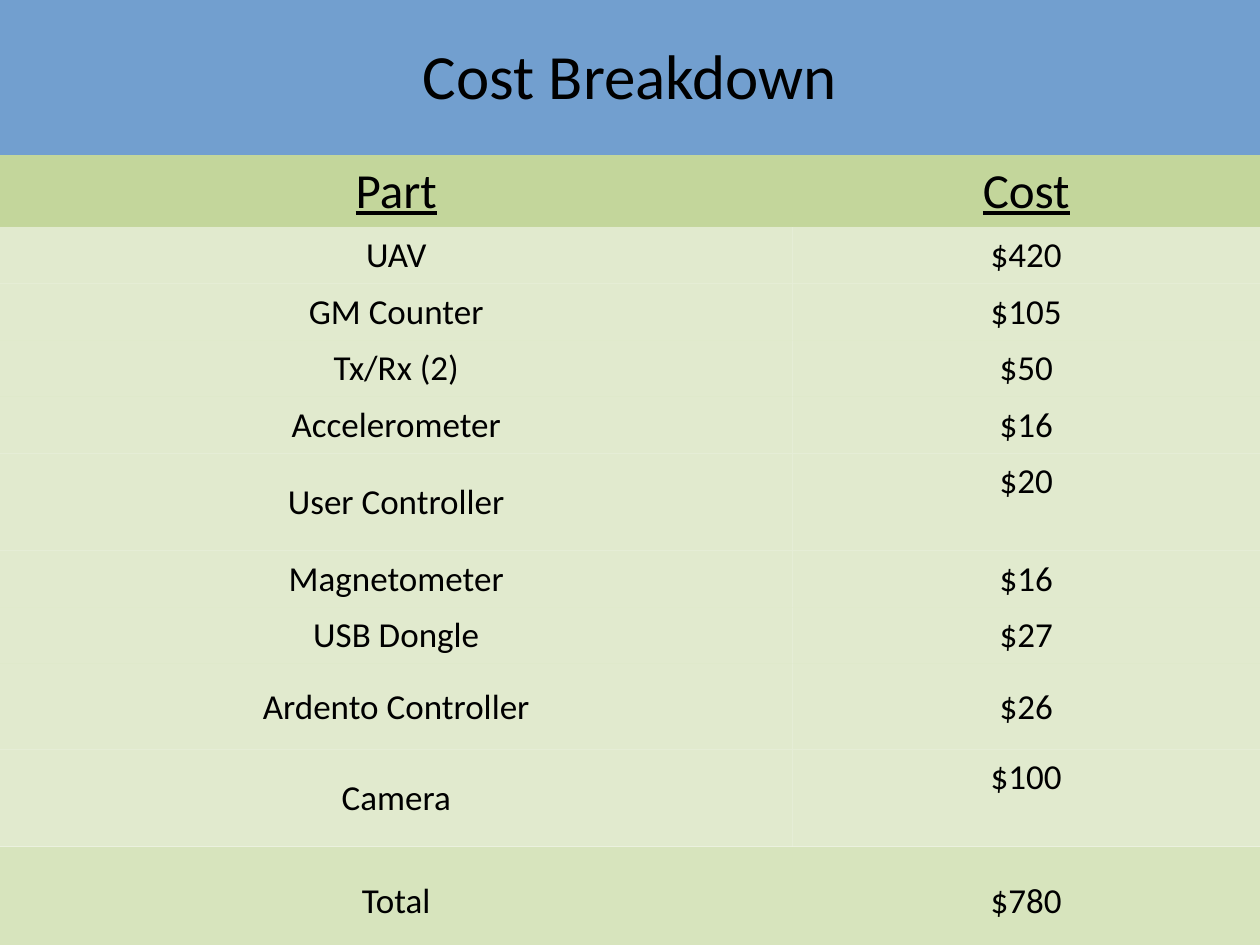
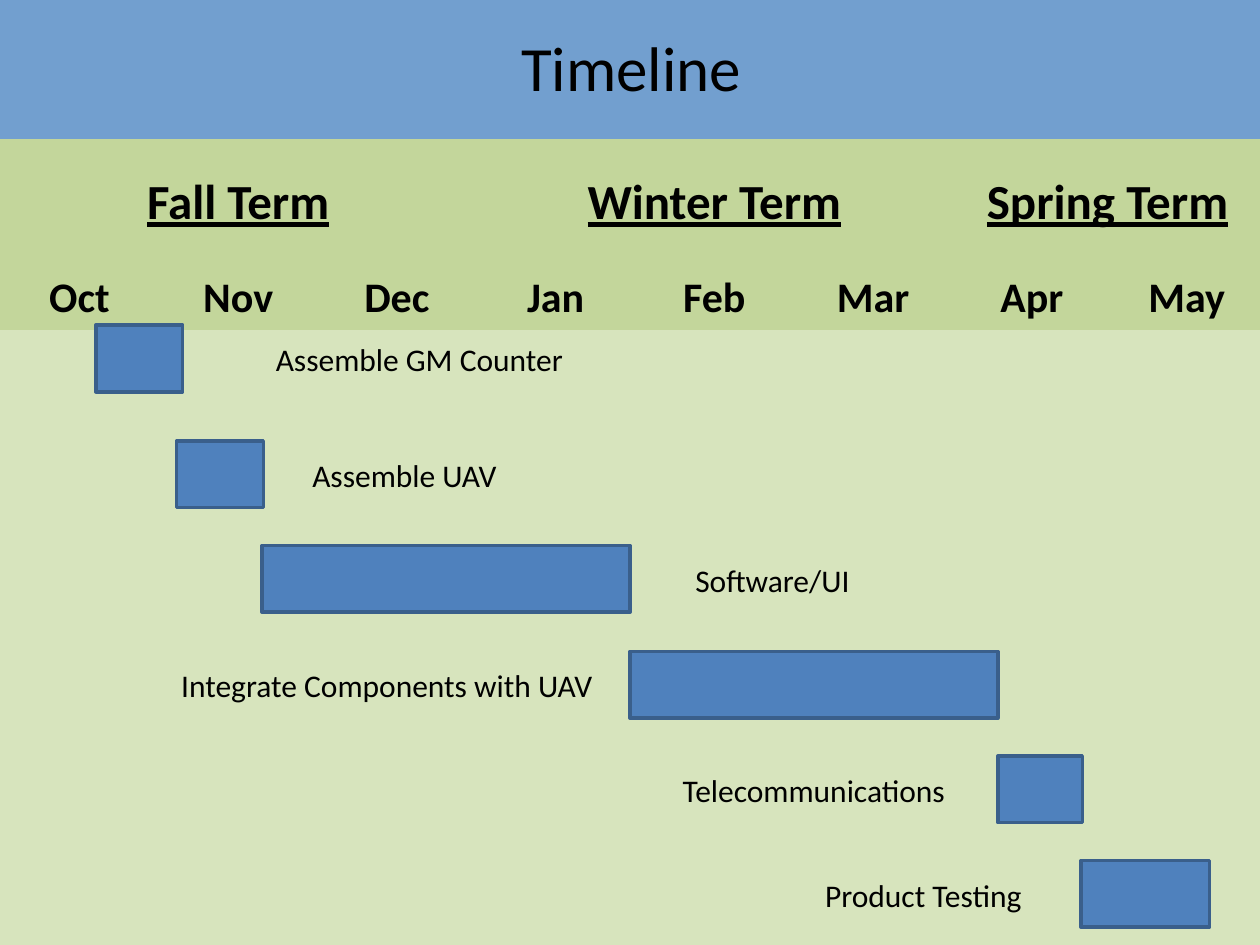
from lxml.etree import SubElement
from pptx import Presentation
from pptx.dml.color import RGBColor as Rgb
from pptx.enum.shapes import MSO_SHAPE as Shape
from pptx.enum.text import MSO_ANCHOR as Anchor, PP_ALIGN as Align
from pptx.oxml.ns import qn
from pptx.util import Inches, Pt

COLOR = {
    "title": "729FCF",
    "head": "C3D69B",
    "body": "D7E4BD",
    "bar": "4F81BD",
    "edge": "3A5F8B",
    "text": "000000",
}
FONT = "Calibri"
PLAIN = "{2D5ABB26-0587-4C30-8999-92F81FD0307C}"

COSTS = [
    ("UAV", "$420", 0.45),
    ("GM Counter", "$105", 0.45),
    ("Tx/Rx (2)", "$50", 0.45),
    ("Accelerometer", "$16", 0.45),
    ("User Controller", "$20", 0.77),
    ("Magnetometer", "$16", 0.45),
    ("USB Dongle", "$27", 0.45),
    ("Ardento Controller", "$26", 0.68),
    ("Camera", "$100", 0.77),
]
RAISED = ("User Controller", "Camera")
TERMS = [("Fall Term", 0, 2), ("Winter Term", 3, 5), ("Spring Term", 6, 7)]
MONTHS = ["Oct", "Nov", "Dec", "Jan", "Feb", "Mar", "Apr", "May"]
TASKS = [
    ("Assemble GM Counter", 0.76, 2.58, 0.69, 2.09, 2.48),
    ("Assemble UAV", 1.4, 3.5, 0.69, 2.38, 1.68),
    ("Software/UI", 2.08, 4.33, 2.92, 5.42, 1.43),
    ("Integrate Components with UAV", 5, 5.17, 2.92, 1.34, 3.5),
    ("Telecommunications", 7.92, 6, 0.67, 5.32, 2.31),
    ("Product Testing", 8.58, 6.83, 1.02, 6.45, 1.79),
]


def color(name):
    return Rgb.from_string(COLOR[name])


def style(para, size, bold=False, line=False):
    font = para.font
    font.name, font.size = FONT, Pt(size)
    font.bold, font.underline = bold, line
    font.color.rgb = color("text")


def paint(cell, name, alpha=None):
    cell.fill.solid()
    cell.fill.fore_color.rgb = color(name)
    if alpha:
        tint = next(cell._tc.tcPr.iter(qn("a:srgbClr")))
        SubElement(tint, qn("a:alpha")).set("val", str(alpha * 1000))


def write(cell, text, size, bold=False, line=False, anchor=Anchor.MIDDLE):
    cell.text = text
    cell.vertical_anchor = anchor
    para = cell.text_frame.paragraphs[0]
    para.alignment = Align.CENTER
    para.line_spacing = 0.98
    style(para, size, bold, line)


def add_grid(slide, title, cols, rows):
    frame = slide.shapes.add_table(
        len(rows), len(cols), 0, 0, Inches(sum(cols)), Inches(sum(rows)))
    grid = frame.table
    grid._tbl.tblPr.find(qn("a:tableStyleId")).text = PLAIN
    for col, width in zip(grid.columns, cols):
        col.width = Inches(width)
    for row, height in zip(grid.rows, rows):
        row.height = Inches(height)
    for cell in grid.rows[0].cells:
        paint(cell, "title")
    span(grid, 0, 0, len(cols) - 1)
    write(grid.cell(0, 0), title, 36)
    return grid


def span(grid, row, first, last):
    grid.cell(row, first).merge(grid.cell(row, last))


def add_bar(slide, left, top, width):
    bar = slide.shapes.add_shape(
        Shape.RECTANGLE, Inches(left), Inches(top), Inches(width), Inches(0.53))
    bar.shadow.inherit = False
    bar.fill.solid()
    bar.fill.fore_color.rgb = color("bar")
    bar.line.color.rgb = color("edge")
    bar.line.width = Pt(2)


def add_label(slide, text, left, top, width):
    box = slide.shapes.add_textbox(
        Inches(left), Inches(top), Inches(width), Inches(0.4))
    frame = box.text_frame
    frame.word_wrap = False
    frame.text = text
    style(frame.paragraphs[0], 18)


def add_costs(slide):
    rows = [1.23, 0.57] + [high for _, _, high in COSTS] + [0.87]
    grid = add_grid(slide, "Cost Breakdown", [6.29, 3.71], rows)
    for col, text in enumerate(("Part", "Cost")):
        write(grid.cell(1, col), text, 28, line=True)
        paint(grid.cell(1, col), "head")
    for row, (part, cost, _) in enumerate(COSTS, 2):
        anchor = Anchor.TOP if part in RAISED else Anchor.MIDDLE
        write(grid.cell(row, 0), part, 20)
        write(grid.cell(row, 1), cost, 20, anchor=anchor)
        for cell in grid.rows[row].cells:
            paint(cell, "body", 74)
    for col, text in enumerate(("Total", "$780")):
        cell = grid.cell(len(rows) - 1, col)
        write(cell, text, 20)
        paint(cell, "body")


def add_plan(slide):
    grid = add_grid(slide, "Timeline", [1.26] * 7 + [1.2], [1.1, 1.01, 0.51, 4.93])
    for row, name in enumerate(("head", "head", "body"), 1):
        for cell in grid.rows[row].cells:
            paint(cell, name)
    for term, first, last in TERMS:
        span(grid, 1, first, last)
        write(grid.cell(1, first), term, 28, bold=True, line=True)
    for col, month in enumerate(MONTHS):
        write(grid.cell(2, col), month, 24, bold=True)
    span(grid, 3, 0, len(MONTHS) - 1)
    for text, left, top, width, start, room in TASKS:
        add_bar(slide, left, top, width)
        add_label(slide, text, start, top + 0.07, room)


def main():
    deck = Presentation()
    deck.slide_width, deck.slide_height = Inches(10), Inches(7.5)
    blank = deck.slide_layouts[6]
    for build in (add_costs, add_plan):
        build(deck.slides.add_slide(blank))
    deck.save("out.pptx")


if __name__ == "__main__":
    main()
